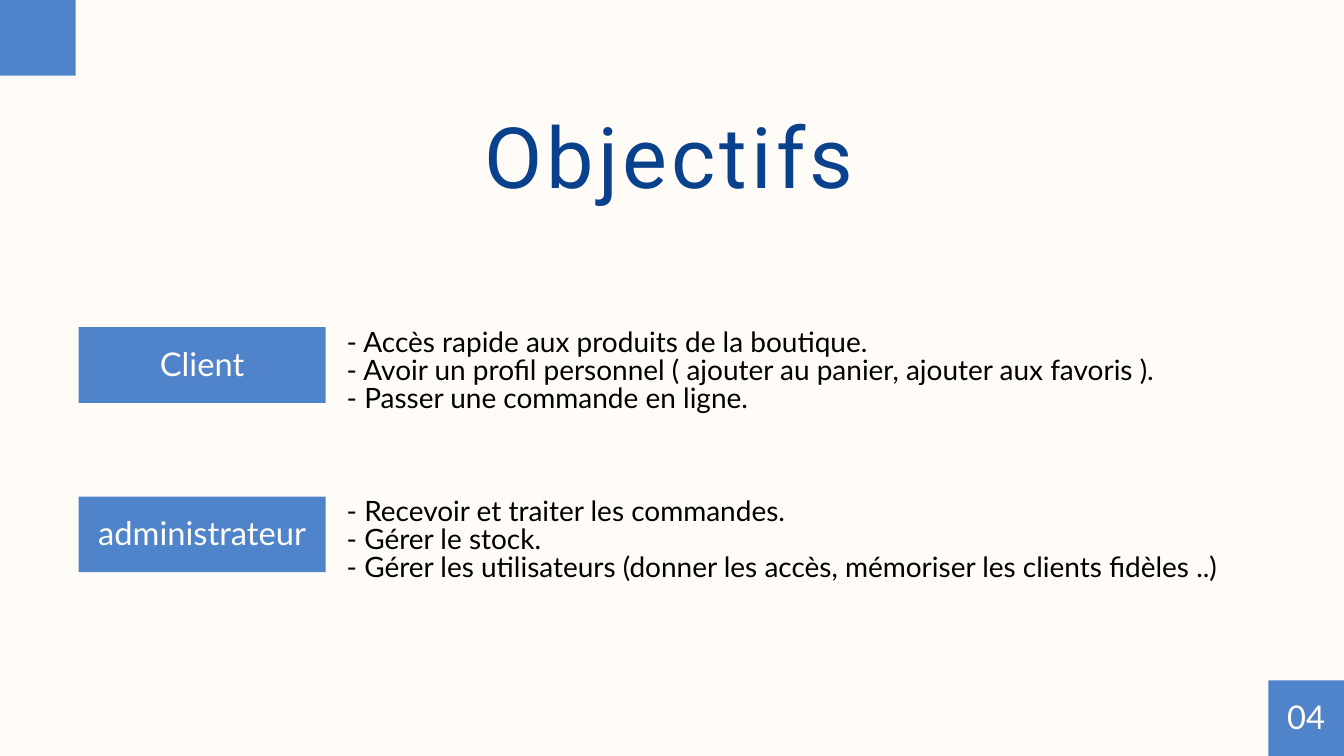
from lxml.etree import SubElement
from pptx import Presentation
from pptx.dml.color import RGBColor
from pptx.enum.shapes import MSO_SHAPE as Shape
from pptx.enum.text import MSO_ANCHOR as Anchor, MSO_AUTO_SIZE as AutoSize, PP_ALIGN as Align
from pptx.oxml.ns import qn
from pptx.util import Pt

CREAM = RGBColor(0xFF, 0xFB, 0xF7)
BLUE = RGBColor(0x15, 0x5C, 0xBB)
NAVY = RGBColor(0x09, 0x41, 0x8C)
BLACK = RGBColor(0, 0, 0)

WIDTH, HEIGHT = 1440, 810
BLOCK_HEIGHT = 81
LABEL_LEFT, LABEL_WIDTH = 84.3, 264.5
GOALS_LEFT, GOALS_WIDTH = 371.5, 987
FIRST_ROW_TOP, ROW_STEP = 350.6, 181.4

GOALS = {
    "Client": [
        "- Accès rapide aux produits de la boutique.",
        "- Avoir un profil personnel ( ajouter au panier, ajouter aux favoris ).",
        "- Passer une commande en ligne.",
    ],
    "administrateur": [
        "- Recevoir et traiter les commandes.",
        "- Gérer le stock.",
        "- Gérer les utilisateurs (donner les accès, mémoriser les clients fidèles ..)",
    ],
}


def write_text(shape, lines, size, color, font="Lato", align=Align.LEFT,
               anchor=Anchor.TOP, inset_top=0):
    frame = shape.text_frame
    frame.word_wrap = True
    frame.auto_size = AutoSize.NONE
    frame.vertical_anchor = anchor
    frame.margin_left = frame.margin_right = frame.margin_bottom = 0
    frame.margin_top = Pt(inset_top)
    frame.text = "\n".join(lines)
    for paragraph in frame.paragraphs:
        paragraph.alignment = align
        paragraph.line_spacing = Pt(size)
        paragraph.font.name = font
        paragraph.font.size = Pt(size)
        paragraph.font.color.rgb = color


def add_title(slide, text):
    title = slide.shapes.title
    title.left, title.top, title.width, title.height = Pt(78), Pt(129), Pt(1278), Pt(91.4)
    write_text(title, [text], 90.6, NAVY, "Roboto", Align.CENTER)
    run = title.text_frame.paragraphs[0].runs[0]
    run._r.get_or_add_rPr().set("spc", "450")


def add_block(slide, left, top, width, text=""):
    block = slide.shapes.add_shape(Shape.RECTANGLE, Pt(left), Pt(top), Pt(width), Pt(BLOCK_HEIGHT))
    block.shadow.inherit = False
    block.line.fill.background()
    block.fill.solid()
    block.fill.fore_color.rgb = BLUE
    color = block._element.spPr.find(qn("a:solidFill")).find(qn("a:srgbClr"))
    SubElement(color, qn("a:alpha")).set("val", "75000")
    if text:
        write_text(block, [text], 35, CREAM, align=Align.CENTER,
                   anchor=Anchor.MIDDLE, inset_top=4)


def add_goals(slide, top, lines):
    box = slide.shapes.add_textbox(Pt(GOALS_LEFT), Pt(top), Pt(GOALS_WIDTH), Pt(90))
    write_text(box, lines, 30, BLACK)


def main():
    presentation = Presentation()
    presentation.slide_width, presentation.slide_height = Pt(WIDTH), Pt(HEIGHT)
    slide = presentation.slides.add_slide(presentation.slide_layouts[5])
    slide.background.fill.solid()
    slide.background.fill.fore_color.rgb = CREAM

    add_title(slide, "Objectifs")
    for row, (role, lines) in enumerate(GOALS.items()):
        top = FIRST_ROW_TOP + row * ROW_STEP
        add_block(slide, LABEL_LEFT, top, LABEL_WIDTH, role)
        add_goals(slide, top + 3, lines)
    add_block(slide, 0, 0, BLOCK_HEIGHT)
    add_block(slide, WIDTH - BLOCK_HEIGHT, HEIGHT - BLOCK_HEIGHT, BLOCK_HEIGHT, "04")

    presentation.save("out.pptx")


if __name__ == "__main__":
    main()
